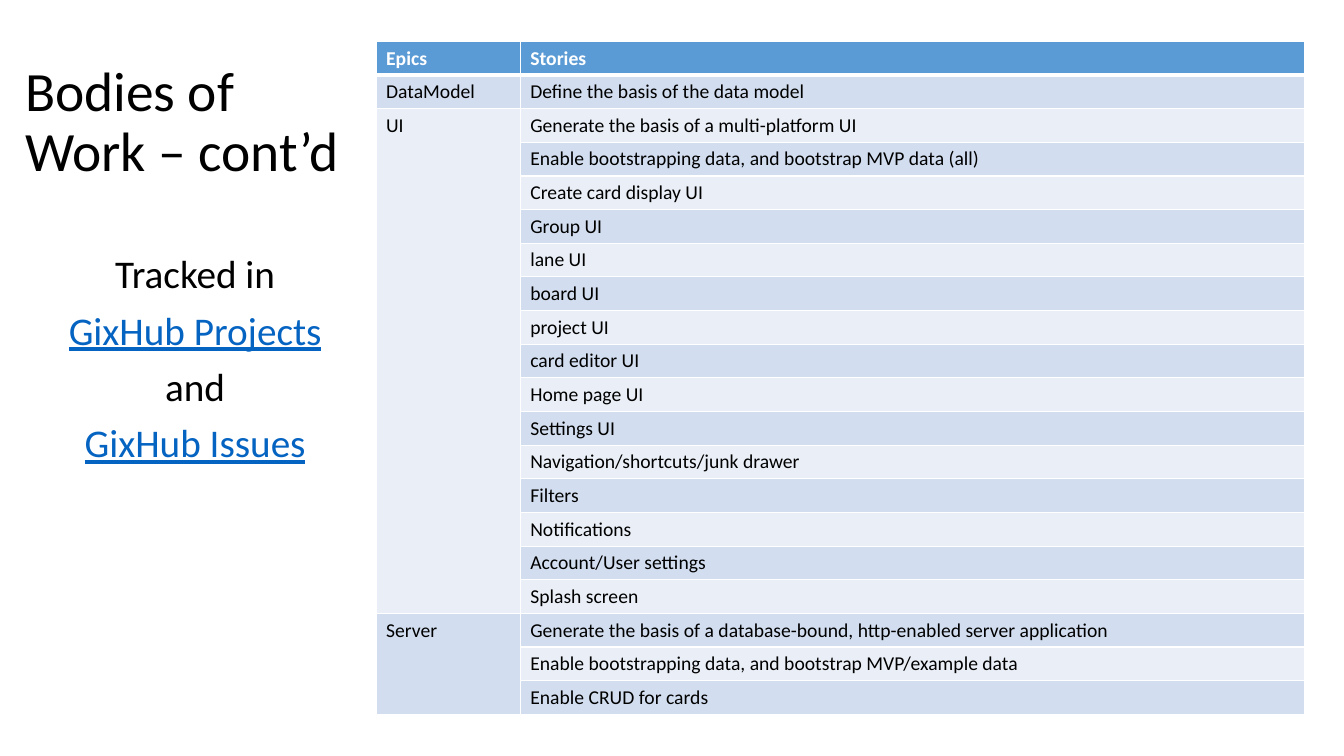
from lxml import etree
from pptx import Presentation
from pptx.dml.color import RGBColor
from pptx.enum.text import MSO_ANCHOR as Anchor, PP_ALIGN as Align
from pptx.oxml.ns import qn
from pptx.util import Inches, Pt

BLACK, WHITE, LINK_BLUE = "000000", "FFFFFF", "0563C1"
HEADER_BLUE, BANDS = "5B9BD5", ("D2DEEF", "EAEFF7")

EPICS = [
    ("DataModel", ["Define the basis of the data model"]),
    ("UI", [
        "Generate the basis of a multi-platform UI",
        "Enable bootstrapping data, and bootstrap MVP data (all)",
        "Create card display UI",
        "Group UI",
        "lane UI",
        "board UI",
        "project UI",
        "card editor UI",
        "Home page UI",
        "Settings UI",
        "Navigation/shortcuts/junk drawer",
        "Filters",
        "Notifications",
        "Account/User settings",
        "Splash screen",
    ]),
    ("Server", [
        "Generate the basis of a database-bound, http-enabled server application",
        "Enable bootstrapping data, and bootstrap MVP/example data",
        "Enable CRUD for cards",
    ]),
]


def add_run(paragraph, text, size, color, bold=False, underline=False):
    run = paragraph.add_run()
    run.text = text
    font = run.font
    font.name, font.size = "Calibri", Pt(size)
    font.bold, font.underline = bold, underline
    font.color.rgb = RGBColor.from_string(color)


def style_cell(cell, fill, top, bottom):
    """Fill a cell and give it white borders; top and bottom are widths in points."""
    properties = cell._tc.get_or_add_tcPr()
    for side, width in (("L", 1), ("R", 1), ("T", top), ("B", bottom)):
        line = etree.SubElement(properties, qn("a:ln" + side), w=str(Pt(width)))
        solid = etree.SubElement(line, qn("a:solidFill"))
        etree.SubElement(solid, qn("a:srgbClr"), val=WHITE)
    cell.fill.solid()
    cell.fill.fore_color.rgb = RGBColor.from_string(fill)


prs = Presentation()
prs.slide_width, prs.slide_height = Inches(13.33), Inches(7.5)
slide = prs.slides.add_slide(prs.slide_layouts[6])

# Title
title = slide.shapes.add_textbox(
    Inches(0.15), Inches(0.41), Inches(3.58), Inches(1.64)).text_frame
title.word_wrap = True
title.vertical_anchor = Anchor.MIDDLE
title.paragraphs[0].line_spacing = 0.9
add_run(title.paragraphs[0], "Bodies of Work – cont’d", 39.6, BLACK)

# Epics and their stories
rows = [("Epics", "Stories")]
for epic, stories in EPICS:
    rows += [(epic if i == 0 else "", story) for i, story in enumerate(stories)]

table = slide.shapes.add_table(
    len(rows), 2, Inches(3.73), Inches(0.41), Inches(9.21), Inches(6.67)).table
table.columns[0].width, table.columns[1].width = Inches(1.43), Inches(7.78)

for r, row in enumerate(rows):
    table.rows[r].height = Inches(0.3)
    is_header = r == 0
    fill = HEADER_BLUE if is_header else BANDS[(r - 1) % 2]
    for c, text in enumerate(row):
        cell = table.cell(r, c)
        style_cell(cell, fill, top=3 if r == 1 else 1, bottom=3 if is_header else 1)
        if text:
            add_run(cell.text_frame.paragraphs[0], text, 14,
                    WHITE if is_header else BLACK, bold=is_header)

first = 1
for epic, stories in EPICS:
    last = first + len(stories) - 1
    if last > first:
        table.cell(first, 0).merge(table.cell(last, 0))
    first = last + 1

# Where the work is tracked
tracking = slide.shapes.add_textbox(
    Inches(0.54), Inches(2.48), Inches(2.79), Inches(4.16)).text_frame
tracking.word_wrap = True
tracking_lines = [("Tracked in", False), ("GixHub Projects", True),
                  ("and", False), ("GixHub Issues", True)]
for i, (text, is_link) in enumerate(tracking_lines):
    paragraph = tracking.add_paragraph() if i else tracking.paragraphs[0]
    paragraph.alignment = Align.CENTER
    paragraph.line_spacing = 0.9
    if i:
        paragraph.space_before = Pt(10)
    add_run(paragraph, text, 28, LINK_BLUE if is_link else BLACK, underline=is_link)

prs.save("out.pptx")
